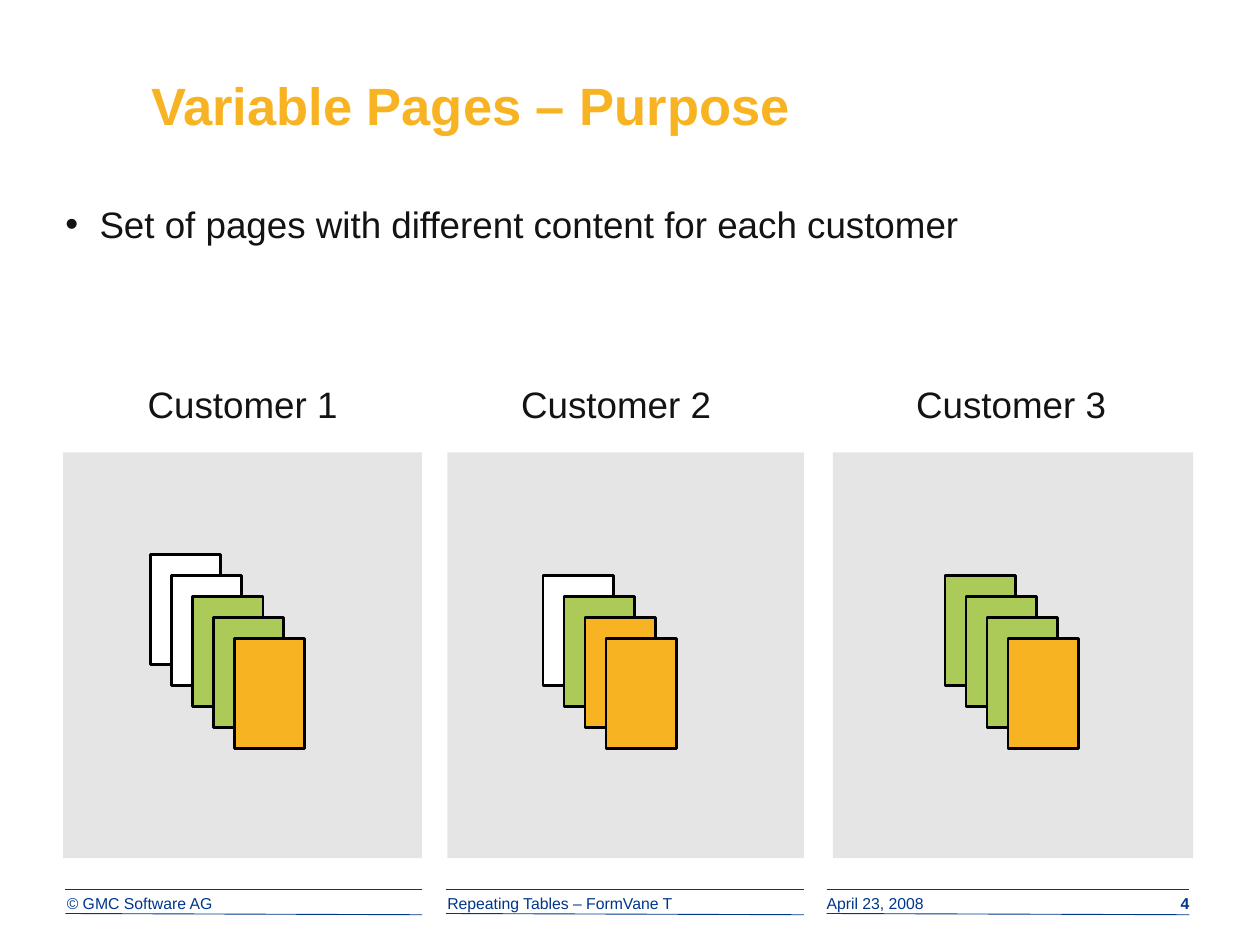
from dataclasses import dataclass

from lxml.etree import SubElement
from pptx import Presentation
from pptx.dml.color import RGBColor
from pptx.enum.shapes import MSO_CONNECTOR as Connector, MSO_SHAPE as Shape
from pptx.enum.text import MSO_ANCHOR as Anchor, PP_ALIGN as Align
from pptx.oxml.ns import qn
from pptx.util import Inches, Pt


@dataclass(frozen=True)
class Theme:
    font: str = "Arial"
    title_size: int = 30
    body_size: int = 21
    footer_size: int = 9
    text: str = "131313"
    navy: str = "00368A"
    black: str = "000000"
    white: str = "FFFFFF"
    green: str = "ACCA57"
    orange: str = "F8B323"


@dataclass(frozen=True)
class Column:
    """One customer: panel, label box and front page as (left, width) or left."""
    name: str
    panel: tuple
    label: tuple
    front_left: float
    pages: tuple


THEME = Theme()
W, O, G = THEME.white, THEME.orange, THEME.green
COLUMNS = (
    Column("Customer 1", (0.5, 2.85), (0.5, 2.85), 1.86, (W, W, G, G, O)),
    Column("Customer 2", (3.55, 2.83), (3.35, 3.08), 4.81, (W, G, O, O)),
    Column("Customer 3", (6.61, 2.86), (6.59, 2.87), 8.0, (G, G, G, O)),
)
PANEL_ROW = (3.59, 3.22)
LABEL_ROW = (2.67, 0.91)
PAGE_SIZE = (0.56, 0.87)
FRONT_TOP = 5.07
PAGE_STEP = 1 / 6
FOOTER_ROW = (7.09, 0.2)
FOOTER_SPANS = ((0.52, 3.35), (3.54, 6.38), (6.56, 9.44))
FOOTER_RULES = ((7.06, 7.06), (7.25, 7.26))


def rgb(color):
    return RGBColor.from_string(color)


def add_text(s, col, row, text, size, color, bold=False, align=Align.LEFT,
             anchor=Anchor.TOP, inset_top=0):
    """Place one paragraph in the cell col x row, each (start, extent)."""
    box = s.shapes.add_textbox(Inches(col[0]), Inches(row[0]), Inches(col[1]), Inches(row[1]))
    tf = box.text_frame
    tf.word_wrap = True
    tf.vertical_anchor = anchor
    tf.margin_left = tf.margin_right = tf.margin_bottom = 0
    tf.margin_top = Inches(inset_top)
    p = tf.paragraphs[0]
    p.alignment = align
    r = p.add_run()
    r.text = text
    r.font.name = THEME.font
    r.font.size = Pt(size)
    r.font.bold = bold
    r.font.color.rgb = rgb(color)
    return p


def set_indent(p, left, first):
    pPr = p._p.get_or_add_pPr()
    pPr.set("marL", str(Inches(left)))
    pPr.set("indent", str(Inches(first)))
    return pPr


def add_bullet(p, color):
    pPr = set_indent(p, 0.27, -0.27)
    clr = SubElement(pPr, qn("a:buClr"))
    SubElement(clr, qn("a:srgbClr"), val=color)
    SubElement(pPr, qn("a:buFont"), typeface=THEME.font)
    SubElement(pPr, qn("a:buChar"), char="•")


def add_rect(s, col, row, fill, line=None, opacity=None):
    sp = s.shapes.add_shape(Shape.RECTANGLE, Inches(col[0]), Inches(row[0]),
                            Inches(col[1]), Inches(row[1]))
    sp.shadow.inherit = False
    sp.fill.solid()
    sp.fill.fore_color.rgb = rgb(fill)
    if opacity is not None:
        clr = sp._element.spPr.find(qn("a:solidFill")).find(qn("a:srgbClr"))
        SubElement(clr, qn("a:alpha"), val=str(opacity * 1000))
    if line:
        sp.line.color.rgb = rgb(line)
        sp.line.width = Pt(1.5)
    else:
        sp.line.fill.background()


def add_rule(s, span, heights):
    rule = s.shapes.add_connector(Connector.STRAIGHT, Inches(span[0]), Inches(heights[0]),
                                  Inches(span[1]), Inches(heights[1]))
    rule.line.color.rgb = rgb(THEME.navy)
    rule.line.width = Pt(0.5)
    SubElement(rule._element.spPr, qn("a:effectLst"))


def add_footer(s):
    for span in FOOTER_SPANS:
        for heights in FOOTER_RULES:
            add_rule(s, span, heights)
    size, color = THEME.footer_size, THEME.navy
    for col, text in (((0.53, 2.81), "© GMC Software AG"),
                      ((3.55, 2.82), "Repeating Tables – FormVane T"),
                      ((6.56, 2.09), "April 23, 2008")):
        add_text(s, col, FOOTER_ROW, text, size, color)
    add_text(s, (8.66, 0.78), FOOTER_ROW, "4", size, color, bold=True, align=Align.RIGHT)


def add_page_stack(s, column):
    """Step the pages down and right, ending at the front page."""
    for i, fill in enumerate(column.pages):
        back = (len(column.pages) - 1 - i) * PAGE_STEP
        add_rect(s, (column.front_left - back, PAGE_SIZE[0]),
                 (FRONT_TOP - back, PAGE_SIZE[1]), fill, THEME.black)


def add_customer(s, column):
    add_rect(s, column.panel, PANEL_ROW, THEME.black, opacity=10)
    add_text(s, column.label, LABEL_ROW, column.name, THEME.body_size, THEME.text,
             align=Align.CENTER, inset_top=0.37)
    add_page_stack(s, column)


def main():
    prs = Presentation()
    prs.slide_width, prs.slide_height = Inches(10), Inches(7.5)
    s = prs.slides.add_slide(prs.slide_layouts[6])
    add_footer(s)
    title = add_text(s, (0.51, 6.82), (0.4, 0.68), "Variable Pages – Purpose",
                     THEME.title_size, THEME.orange, bold=True, anchor=Anchor.BOTTOM)
    set_indent(title, 0.69, 0)
    body = add_text(s, (0.52, 8.94), (1.6, 1.34),
                    "Set of pages with different content for each customer",
                    THEME.body_size, THEME.text)
    add_bullet(body, THEME.text)
    for column in COLUMNS:
        add_customer(s, column)
    prs.save("out.pptx")


if __name__ == "__main__":
    main()
